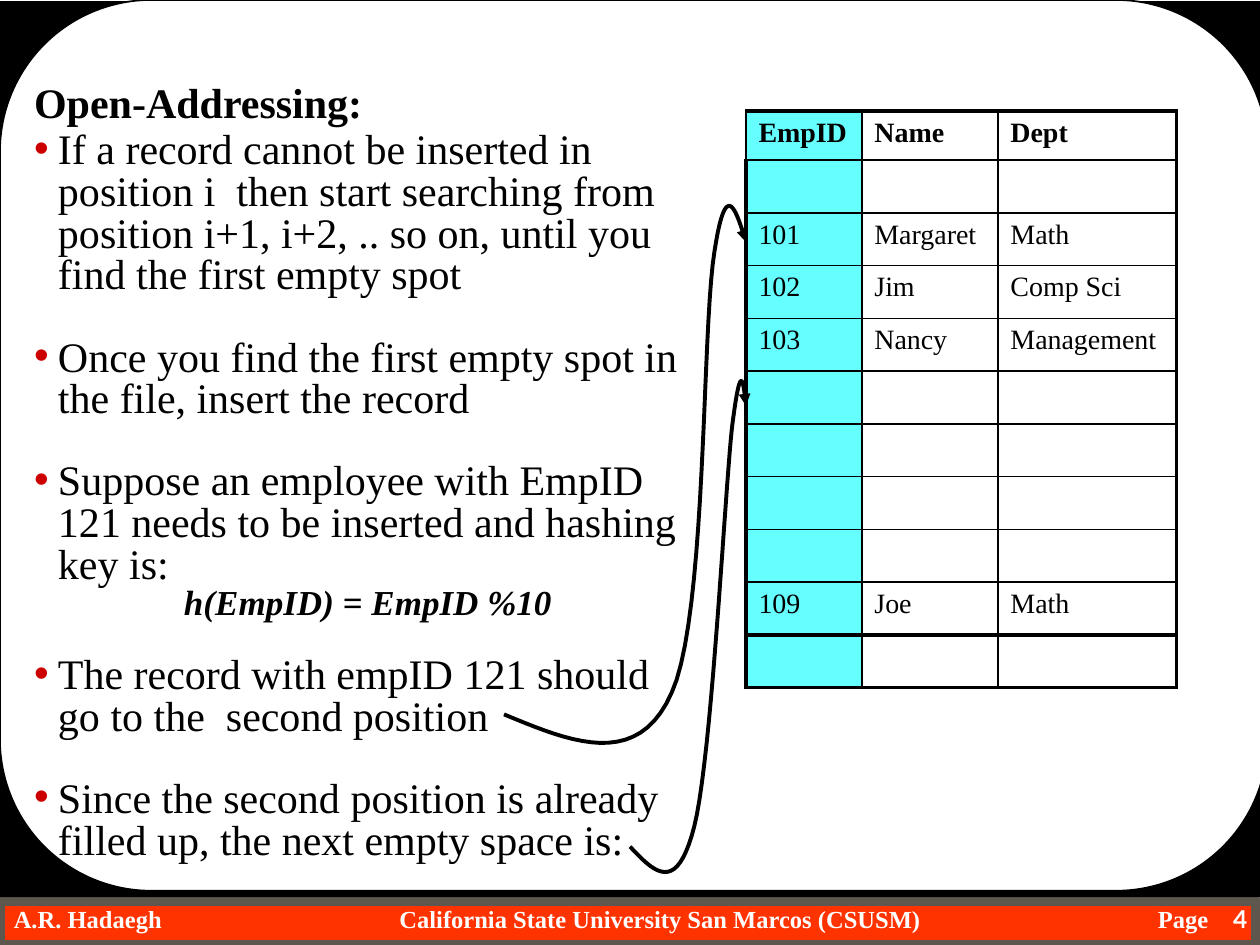
from lxml.etree import SubElement
from pptx import Presentation
from pptx.dml.color import RGBColor
from pptx.enum.shapes import MSO_SHAPE as Preset
from pptx.enum.text import MSO_ANCHOR as Anchor, MSO_AUTO_SIZE as AutoSize, PP_ALIGN as Align
from pptx.oxml.ns import qn
from pptx.util import Inches, Pt

BLACK = RGBColor(0x00, 0x00, 0x00)
WHITE = RGBColor(0xFF, 0xFF, 0xFF)
ORANGE = RGBColor(0xFF, 0x33, 0x00)
TAUPE = RGBColor(0x5E, 0x57, 0x4E)
CYAN = RGBColor(0x66, 0xFF, 0xFF)
RED = RGBColor(0xCC, 0x00, 0x00)

SERIF = "Times New Roman"
COLUMNS, ROWS = 100, 75
THIN, THICK = 1, 2.25
HANGING = 1.9
LINE_SPACING = 0.83

STEPS = [
    ("If a record cannot be inserted in position i  then start searching from "
     "position i+1, i+2, .. so on, until you find the first empty spot", 0),
    ("Once you find the first empty spot in the file, insert the record", 23),
    ("Suppose an employee with EmpID 121 needs to be inserted and hashing key is:", 23),
    ("h(EmpID) = EmpID %10", 0),
    ("The record with empID 121 should go to the  second position", 19),
    ("Since the second position is already filled up, the next empty space is:", 23),
]
FORMULA = 3

EMPTY = ("", "", "")
RECORDS = [
    ("EmpID", "Name", "Dept"),
    EMPTY,
    ("101", "Margaret", "Math"),
    ("102", "Jim", "Comp Sci"),
    ("103", "Nancy", "Management"),
    *[EMPTY] * 4,
    ("109", "Joe", "Math"),
    EMPTY,
]
FIELD_WIDTHS = (9.2, 10.8, 14.2)
HEADER_HEIGHT, RECORD_HEIGHT = 3.9, 4.19

FOOTERS = [
    ("A.R. Hadaegh", 1.1, 20, Align.LEFT),
    ("California State University San Marcos (CSUSM)", 27.4, 50, Align.CENTER),
    ("Page", 85.9, 10, Align.RIGHT),
]

TO_SECOND_POSITION = [
    (40, 56.7), (45.3, 58.9), (50.6, 61.1), (53.3, 55), (56.1, 48.9),
    (55.7, 26), (56.7, 20), (57.6, 14), (58.4, 16.6), (59.2, 19.2),
]
TO_EMPTY_SPOT = [
    (50, 67.2), (51.9, 69.2), (53.7, 71.1), (55.1, 65.6), (56.5, 60),
    (57.5, 39.4), (58.1, 33.9), (58.8, 28.3), (59, 30.3), (59.2, 32.2),
]


def cells(count):
    return Inches(count / 10)


def style(font, size, color, name=SERIF, bold=False, italic=False):
    font.name, font.size, font.bold, font.italic = name, Pt(size), bold, italic
    font.color.rgb = color


def add_panel(slide, preset, box, fill, outline=None, weight=0):
    panel = slide.shapes.add_shape(preset, *map(cells, box))
    panel.shadow.inherit = False
    panel.fill.solid()
    panel.fill.fore_color.rgb = fill
    if outline is None:
        panel.line.fill.background()
    else:
        panel.line.color.rgb = outline
        panel.line.width = Pt(weight)
    return panel


def add_frame(slide):
    add_panel(slide, Preset.RECTANGLE, (0, 71.5, 99.7, 3.5), ORANGE, TAUPE, 6)
    add_panel(slide, Preset.RECTANGLE, (0, 0.1, COLUMNS, 71.1), BLACK)
    page = add_panel(slide, Preset.ROUNDED_RECTANGLE, (0, 0, 100.6, 70.7), WHITE, BLACK, 1)
    page.adjustments[0] = 0.17


def add_label(slide, text, box, align, **font):
    frame = slide.shapes.add_textbox(*map(cells, box)).text_frame
    frame.word_wrap = True
    frame.vertical_anchor = Anchor.MIDDLE
    frame.margin_left = frame.margin_right = frame.margin_top = frame.margin_bottom = 0
    label = frame.paragraphs[0]
    label.text = text
    label.alignment = align
    style(label.font, 14, WHITE, bold=True, **font)


def place(slide, placeholder, box):
    slide.shapes._spTree.append(placeholder._element)
    placeholder.left, placeholder.top, placeholder.width, placeholder.height = map(cells, box)
    frame = placeholder.text_frame
    frame.word_wrap = True
    frame.auto_size = AutoSize.NONE
    frame.vertical_anchor = Anchor.TOP
    return frame


def set_marker(paragraph, indent, hanging, bullet):
    properties = paragraph._p.get_or_add_pPr()
    properties.set("marL", str(cells(indent)))
    properties.set("indent", str(-cells(hanging)))
    if bullet:
        color = SubElement(properties, qn("a:buClr"))
        SubElement(color, qn("a:srgbClr"), val=str(RED))
        SubElement(properties, qn("a:buChar"), char="•")
    else:
        SubElement(properties, qn("a:buNone"))


def fill_heading(slide):
    heading = place(slide, slide.shapes.title, (1.7, 5.6, 53.3, 5)).paragraphs[0]
    heading.text = "Open-Addressing:"
    heading.alignment = Align.LEFT
    style(heading.font, 24, BLACK, bold=True)


def fill_steps(slide):
    frame = place(slide, slide.placeholders[1], (1.7, 9.9, 53.3, 58.2))
    for index, (text, gap) in enumerate(STEPS):
        step = frame.paragraphs[0] if index == 0 else frame.add_paragraph()
        is_formula = index == FORMULA
        step.text = text
        step.line_spacing = LINE_SPACING
        step.space_before = Pt(gap)
        style(step.font, 20 if is_formula else 24, BLACK, bold=is_formula, italic=is_formula)
        set_marker(step, 11.9 if is_formula else HANGING, 0 if is_formula else HANGING,
                   not is_formula)


def set_borders(cell, **weights):
    properties = cell._tc.get_or_add_tcPr()
    for position, (side, weight) in enumerate(weights.items()):
        edge = properties.makeelement(qn(f"a:ln{side}"), {"w": str(Pt(weight))})
        fill = SubElement(edge, qn("a:solidFill"))
        SubElement(fill, qn("a:srgbClr"), val=str(BLACK))
        properties.insert(position, edge)


def add_records(slide):
    last_row, last_field = len(RECORDS) - 1, len(FIELD_WIDTHS) - 1
    height = HEADER_HEIGHT + last_row * RECORD_HEIGHT
    box = (59.2, 8.8, sum(FIELD_WIDTHS), height)
    table = slide.shapes.add_table(last_row + 1, last_field + 1, *map(cells, box)).table
    table.first_row = table.horz_banding = False
    for column, width in zip(table.columns, FIELD_WIDTHS):
        column.width = cells(width)
    for r, record in enumerate(RECORDS):
        table.rows[r].height = cells(RECORD_HEIGHT if r else HEADER_HEIGHT)
        for c, text in enumerate(record):
            cell = table.cell(r, c)
            if c == 0:
                cell.fill.solid()
                cell.fill.fore_color.rgb = CYAN
            else:
                cell.fill.background()
            entry = cell.text_frame.paragraphs[0]
            entry.text = text
            entry.space_before = Pt(3)
            style(entry.font, 16, BLACK, bold=r == 0)
            set_borders(
                cell,
                L=THICK if c == 0 and r else THIN,
                R=THICK if c == last_field else THIN,
                T=THICK if r in (0, last_row) else THIN,
                B=THICK if r >= last_row - 1 else THIN,
            )


def bezier(controls, t):
    weights = ((1 - t) ** 3, 3 * t * (1 - t) ** 2, 3 * t * t * (1 - t), t ** 3)
    return tuple(cells(sum(w * v for w, v in zip(weights, axis))) for axis in zip(*controls))


def add_curved_arrow(slide, controls, steps=20):
    route = [bezier(controls[first:first + 4], step / steps)
             for first in range(0, len(controls) - 1, 3)
             for step in range(1, steps + 1)]
    builder = slide.shapes.build_freeform(*map(cells, controls[0]))
    builder.add_line_segments(route, close=False)
    arrow = builder.convert_to_shape()
    arrow.shadow.inherit = False
    arrow.fill.background()
    arrow.line.color.rgb = BLACK
    arrow.line.width = Pt(THICK)
    SubElement(arrow.line._get_or_add_ln(), qn("a:tailEnd"), type="triangle")


def main():
    deck = Presentation()
    deck.slide_width, deck.slide_height = cells(COLUMNS), cells(ROWS)
    slide = deck.slides.add_slide(deck.slide_layouts[1])
    add_frame(slide)
    for text, left, width, align in FOOTERS:
        add_label(slide, text, (left, 71.8, width, 2.3), align)
    add_label(slide, "4", (92.5, 71.2, 6.5, 3.4), Align.RIGHT, name="Lato")
    fill_heading(slide)
    fill_steps(slide)
    add_records(slide)
    for controls in (TO_SECOND_POSITION, TO_EMPTY_SPOT):
        add_curved_arrow(slide, controls)
    deck.save("out.pptx")


if __name__ == "__main__":
    main()
